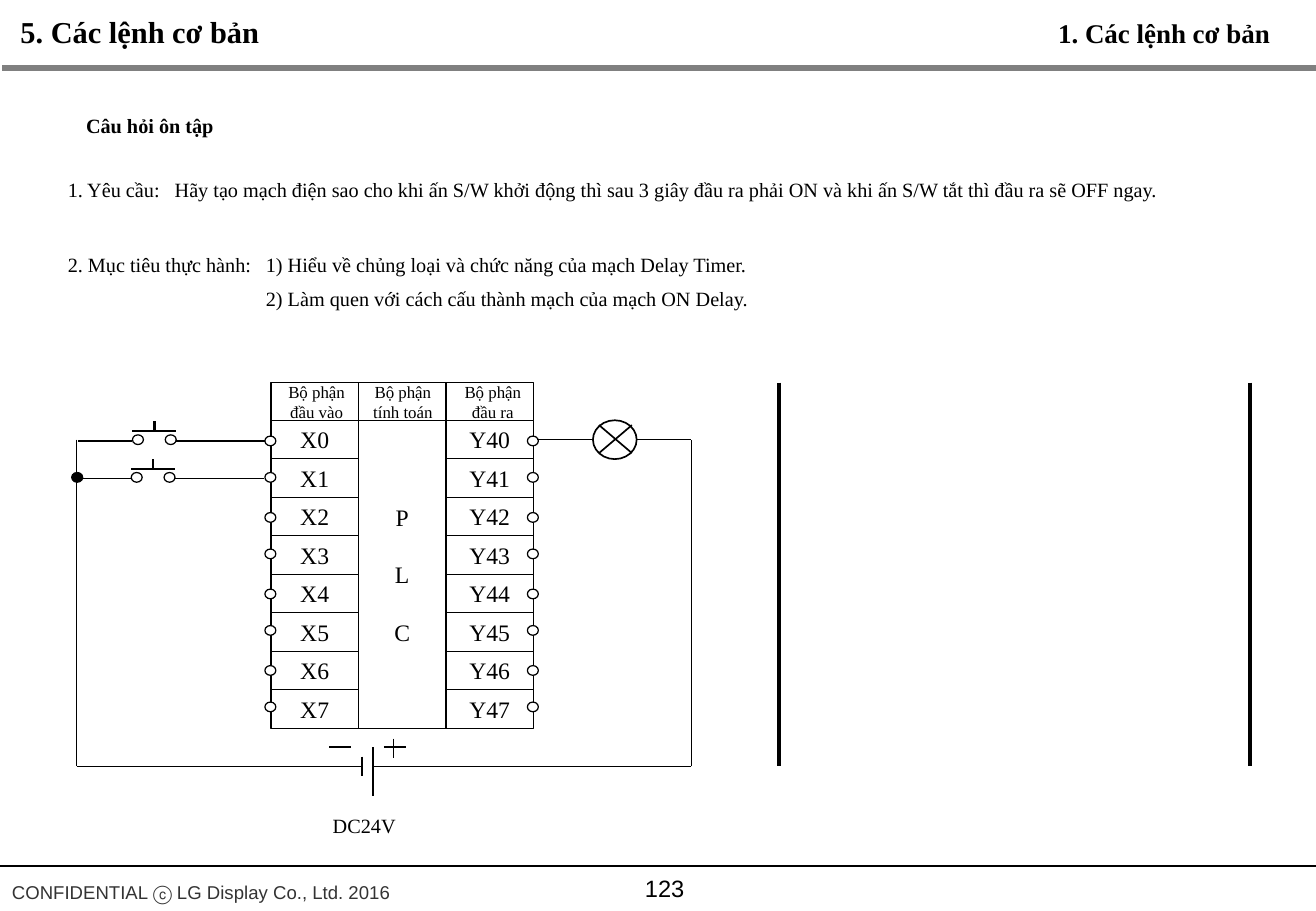
import pptx
import pptx.util
import pptx.dml.color
import pptx.enum.shapes
import pptx.enum.text
import lxml.etree

Inches = pptx.util.Inches
Pt = pptx.util.Pt
RGB = pptx.dml.color.RGBColor.from_string
KIND = pptx.enum.shapes.MSO_SHAPE
ALIGN = pptx.enum.text.PP_ALIGN
MIDDLE = pptx.enum.text.MSO_ANCHOR.MIDDLE
FIT = pptx.enum.text.MSO_AUTO_SIZE

THEME = {
    "serif": "Times New Roman", "sans": "Arial",
    "black": "000000", "white": "FFFFFF", "gray": "808080", "dark": "333333",
    "title": 18, "topic": 16, "pin": 14, "body": 12, "foot": 11, "head": 10,
    "thin": 0.75, "lamp": 1, "bold": 1.5, "rail": 2.25, "rule": 3,
}

TITLES = [
    ("5. Các lệnh cơ bản", (0.07, 0.06, 2.19, 0.4), "title"),
    ("1. Các lệnh cơ bản", (8.61, 0.09, 1.97, 0.37), "topic"),
    ("Câu hỏi ôn tập", (0.61, 0.88, 1.26, 0.3), "body"),
]
TASKS = [
    (["1. Yêu cầu:\tHãy tạo mạch điện sao cho khi ấn S/W khởi động thì sau 3 giây "
      "đầu ra phải ON và khi ấn S/W tắt thì đầu ra sẽ OFF ngay."],
     (0.46, 1.39, 9.4, 0.32), 1.1, 0.88),
    (["2. Mục tiêu thực hành:\t1) Hiểu về chủng loại và chức năng của mạch Delay Timer.",
      "\t2) Làm quen với cách cấu thành mạch của mạch ON Delay."],
     (0.46, 1.95, 6.4, 0.67), 1.4, 1.63),
]
SOURCE = ("DC24V", (2.64, 6.65, 0.73, 0.3))
FOOTER = ("CONFIDENTIAL ⓒ LG Display Co., Ltd. 2016", (0, 7.17, 3.34, 0.3))
NUMBER = ("123", (4.43, 7.06, 2.08, 0.5))

HEADS = [
    (["Bộ phận", "đầu vào"], 0.03),
    (["Bộ phận", "tính toán"], 0.01),
    (["Bộ phận", "đầu ra"], 0.05),
]
CORE = ["P", "L", "C"]
PINS = [(0, "X", 2.18), (2, "Y4", 4.34)]
COUNT = 8
LEFT, TOP, WIDE, HEAD, ROW = 2.23, 3.15, 0.72, 0.31, 0.317
DOT = (0.09, 0.08)

SWITCHES = [(1.09, 3.58), (1.08, 3.89)]
LAMP = (4.88, 3.46, 0.36, 0.32)
NODE = (0.59, 3.89)
RULES = [
    (0.02, 0.56, 10.83, 0.56, "rule", "gray"),
    (0, 7.13, 10.83, 7.13, "thin", "black"),
]
RAILS = [6.41, 10.29]
WIRES = [
    (4.93, 3.73, 5.2, 3.5, "lamp"),
    (4.93, 3.5, 5.2, 3.73, "lamp"),
    (4.42, 3.62, 4.88, 3.62, "thin"),
    (5.24, 3.62, 5.69, 3.62, "thin"),
    (0.63, 3.62, 0.63, 6.31, "thin"),
    (0.63, 6.31, 2.98, 6.31, "thin"),
    (2.98, 6.23, 2.98, 6.39, "bold"),
    (3.07, 6.15, 3.07, 6.55, "bold"),
    (3.07, 6.31, 5.69, 6.31, "thin"),
    (5.69, 6.31, 5.69, 3.62, "thin"),
    (3.16, 6.15, 3.34, 6.15, "thin"),
    (3.24, 6.08, 3.24, 6.24, "thin"),
    (2.71, 6.15, 2.89, 6.15, "thin"),
]

deck = pptx.Presentation()
deck.slide_width, deck.slide_height = Inches(10.83), Inches(7.5)
slide = deck.slides.add_slide(deck.slide_layouts[6])
shapes = slide.shapes


def write(frame, lines, size, face="serif", color="black", bold=False,
          align=ALIGN.LEFT, pitch=None, gap=0, tab=None):
    for i, line in enumerate(lines):
        para = frame.paragraphs[0] if i == 0 else frame.add_paragraph()
        para.text = line
        para.alignment = align
        if pitch:
            para.line_spacing = pitch
        if i and gap:
            para.space_before = Pt(gap)
        if tab:
            props = para._p.get_or_add_pPr()
            space = "{" + props.nsmap["a"] + "}"
            stops = lxml.etree.SubElement(props, space + "tabLst")
            lxml.etree.SubElement(stops, space + "tab", pos=str(Inches(tab)), algn="l")
        font = para.font
        font.name, font.size, font.bold = THEME[face], Pt(THEME[size]), bold
        font.color.rgb = RGB(THEME[color])


def label(lines, box, size, wrap=False, **style):
    frame = shapes.add_textbox(*map(Inches, box)).text_frame
    frame.word_wrap = wrap
    frame.auto_size = FIT.NONE if wrap else FIT.SHAPE_TO_FIT_TEXT
    write(frame, lines, size, **style)
    return frame


def line(x, y, to_x, to_y, weight, color="black"):
    wire = shapes.add_connector(
        pptx.enum.shapes.MSO_CONNECTOR.STRAIGHT, *map(Inches, (x, y, to_x, to_y)))
    wire.line.color.rgb = RGB(THEME[color])
    wire.line.width = Pt(THEME[weight])
    props = wire._element.spPr
    lxml.etree.SubElement(props, "{" + props.nsmap["a"] + "}effectLst")


def block(kind, box, fill="white", weight="thin"):
    part = shapes.add_shape(kind, *map(Inches, box))
    part.shadow.inherit = False
    part.fill.solid()
    part.fill.fore_color.rgb = RGB(THEME[fill])
    part.line.color.rgb = RGB(THEME["black"])
    part.line.width = Pt(THEME[weight])
    return part


def cell(lines, col, top, tall, size, inset=0, gap=0):
    frame = block(KIND.RECTANGLE, (LEFT + col * WIDE, top, WIDE, tall)).text_frame
    frame.margin_left = Inches(inset)
    frame.margin_right = frame.margin_top = frame.margin_bottom = 0
    frame.vertical_anchor = MIDDLE
    frame.word_wrap = True
    write(frame, lines, size, align=ALIGN.CENTER, gap=gap)


def dot(x, y, fill="white"):
    block(KIND.OVAL, (x, y, *DOT), fill)


for rule in RULES:
    line(*rule)
label([FOOTER[0]], FOOTER[1], "foot", face="sans", color="dark", pitch=1.2)
page = label([NUMBER[0]], NUMBER[1], "pin", wrap=True, face="sans", align=ALIGN.CENTER)
page.vertical_anchor = MIDDLE

for text, box, size in TITLES:
    label([text], box, size, bold=True)
for lines, box, pitch, tab in TASKS:
    label(lines, box, "body", wrap=True, pitch=pitch, tab=tab)
label([SOURCE[0]], SOURCE[1], "body")

for col, (lines, shift) in enumerate(HEADS):
    cell(lines, col, TOP, HEAD, "head", inset=shift)
first = TOP + HEAD
cell(CORE, 1, first, ROW * COUNT, "pin", gap=17.4)
for col, name, x in PINS:
    for i in range(COUNT):
        cell([f"{name}{i}"], col, first + i * ROW, ROW, "pin")
    for i in range(COUNT):
        dot(x, 3.59 + 0.63 * (i // 2) + 0.3 * (i % 2))

for x, y in SWITCHES:
    end, mid = x + 0.36, y + 0.05
    dot(x, y)
    dot(x + 0.27, y)
    line(x, y - 0.03, end, y - 0.03, "bold")
    line(x + 0.18, y - 0.11, x + 0.18, y - 0.03, "bold")
    line(end, mid, end + 0.73, mid, "thin")
    line(x, mid, x - 0.45, mid, "thin")

block(KIND.OVAL, LAMP, weight="lamp")
for wire in WIRES:
    line(*wire)
dot(*NODE, fill="black")
for x in RAILS:
    line(x, TOP, x, 6.31, "rail")

deck.save("out.pptx")
